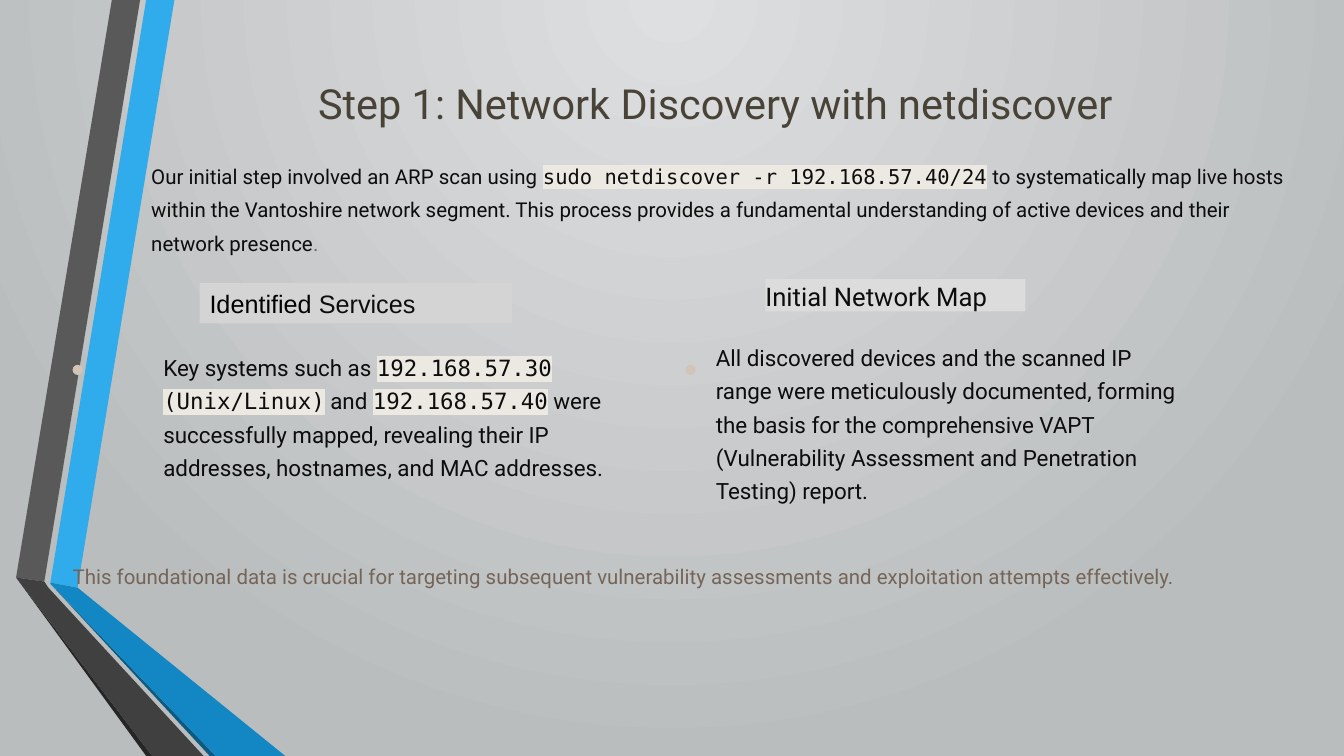
from dataclasses import dataclass

from lxml import etree
from pptx import Presentation
from pptx.dml.color import RGBColor
from pptx.enum.shapes import MSO_SHAPE
from pptx.enum.text import MSO_ANCHOR, MSO_AUTO_SIZE, PP_ALIGN
from pptx.oxml.ns import qn
from pptx.util import Inches, Pt

RECT, ROUND_RECT = MSO_SHAPE.RECTANGLE, MSO_SHAPE.ROUNDED_RECTANGLE
LEFT, CENTER = PP_ALIGN.LEFT, PP_ALIGN.CENTER
TOP, NO_FIT = MSO_ANCHOR.TOP, MSO_AUTO_SIZE.NONE
BODY, MONO, LABEL = "Roboto", "DejaVu Sans Mono", "Arial"
COLORS = {
    "bg_center": "DEDFE0", "bg_edge": "BABDBE",
    "blue": "30ACEC", "blue_mid": "1287C3", "blue_dark": "0C5A82",
    "gray": "595959", "gray_mid": "404040", "gray_dark": "262626",
    "ink": "0D0D0D", "black": "000000", "title": "484237", "muted": "746558",
    "code": "ECE9E3", "dot": "D3C5B6", "map_label": "DCDCDC",
    "services_label": "D4D4D4",
}


@dataclass
class Run:
    text: str
    color: str = "ink"
    code: bool = False


@dataclass
class Band:
    color: str
    points: list[tuple[float, float]]


@dataclass
class TextBox:
    box: tuple[float, float, float, float]
    size: float
    runs: list[Run]
    wrap: bool = True


BANDS = [
    Band("blue", [(0.5, 5.78), (0.77, 5.83), (1.73, 0), (1.45, 0)]),
    Band("gray", [(1.39, 0), (1.11, 0), (0.16, 5.73), (0.44, 5.77)]),
    Band("gray_dark", [(0.16, 5.73), (1.45, 7.5), (1.51, 7.5)]),
    Band("blue_dark", [(0.5, 5.79), (2.08, 7.5), (2.14, 7.5)]),
    Band("blue_mid", [(0.5, 5.79), (2.14, 7.5), (2.83, 7.5), (0.77, 5.83), (0.5, 5.78)]),
    Band("gray_mid", [(2.02, 7.5), (0.48, 5.83), (0.44, 5.77), (0.16, 5.73), (1.51, 7.5)]),
]
TEXTS = [
    TextBox((1.5, 1.54, 11.41, 0.68), 14.6, [
        Run("Our initial step involved an ARP scan using "),
        Run("sudo netdiscover -r 192.168.57.40/24", code=True),
        Run(" to systematically map live hosts within the Vantoshire network segment. "
            "This process provides a fundamental understanding of active devices and "
            "their network presence"),
        Run(".", "muted"),
    ]),
    TextBox((0.72, 5.51, 11.89, 0.33), 14.6, [
        Run("This foundational data is crucial for targeting subsequent vulnerability "
            "assessments and exploitation attempts effectively.", "muted"),
    ], wrap=False),
    TextBox((1.62, 3.45, 4.93, 1.66), 16, [
        Run("Key systems such as "),
        Run("192.168.57.30 (Unix/Linux)", code=True),
        Run(" and "),
        Run("192.168.57.40", code=True),
        Run(" were successfully mapped, revealing their IP addresses, hostnames, "
            "and MAC addresses."),
    ]),
    TextBox((7.1, 3.35, 4.68, 2.09), 16, [
        Run("All discovered devices and the scanned IP range were meticulously "
            "documented, forming the basis for the comprehensive VAPT (Vulnerability "
            "Assessment and Penetration Testing) report."),
    ]),
]


def rgb(name: str) -> RGBColor:
    return RGBColor.from_string(COLORS[name])


def inches(values) -> list:
    return [Inches(v) for v in values]


def paint(sp, color: str) -> None:
    sp.shadow.inherit = False
    sp.fill.solid()
    sp.fill.fore_color.rgb = rgb(color)
    sp.line.fill.background()


def highlight(r, color: str) -> None:
    """Mark a run's background; the schema wants it right after the fill."""
    mark = etree.Element(qn("a:highlight"))
    etree.SubElement(mark, qn("a:srgbClr")).set("val", COLORS[color])
    r.font.fill  # the fill is already present
    r.font._element.find(qn("a:solidFill")).addnext(mark)


def write(sp, runs: list[Run], *, size: float, font: str = BODY, align=LEFT,
          spacing: float | None = None, wrap: bool = True, inset: bool = False) -> None:
    tf = sp.text_frame
    tf.word_wrap, tf.auto_size, tf.vertical_anchor = wrap, NO_FIT, TOP
    if not inset:
        tf.margin_left = tf.margin_top = tf.margin_right = tf.margin_bottom = 0
    p = tf.paragraphs[0]
    p.alignment = align
    if spacing:
        p.line_spacing = Pt(spacing)
    for run in runs:
        r = p.add_run()
        r.text = run.text
        r.font.size = Pt(size)
        r.font.name = MONO if run.code else font
        r.font.color.rgb = rgb(run.color)
        if run.code:
            highlight(r, "code")


def add_block(s, kind, box, color: str):
    sp = s.shapes.add_shape(kind, *inches(box))
    paint(sp, color)
    return sp


def add_band(s, band: Band) -> None:
    start, *rest = [tuple(inches(pt)) for pt in band.points]
    builder = s.shapes.build_freeform(*start)
    builder.add_line_segments(rest, close=True)
    paint(builder.convert_to_shape(), band.color)


def set_background(s) -> None:
    """Radial gradient centred on the top edge."""
    fill = s.background.fill
    fill.gradient()
    for stop, color, position in zip(fill.gradient_stops, ("bg_center", "bg_edge"), (0, 1)):
        stop.color.rgb = rgb(color)
        stop.position = position
    grad = s.element.find(".//" + qn("a:gradFill"))
    grad.remove(grad.find(qn("a:lin")))
    circle = etree.SubElement(grad, qn("a:path"))
    circle.set("path", "circle")
    center = etree.SubElement(circle, qn("a:fillToRect"))
    for side, value in {"l": 43, "t": 0, "r": 43, "b": 100}.items():
        center.set(side, str(value * 1000))


def main() -> None:
    prs = Presentation()
    prs.slide_width, prs.slide_height = Inches(13.33), Inches(7.5)
    s = prs.slides.add_slide(prs.slide_layouts[5])
    set_background(s)
    for band in BANDS:
        add_band(s, band)

    title = s.shapes.title
    title.left, title.top, title.width, title.height = inches((1.62, 0.75, 10.96, 1.92))
    write(title, [Run("Step 1: Network Discovery with netdiscover", "title")],
          size=29.6, align=CENTER, spacing=37.1, wrap=False)

    for x in (0.72, 6.8):
        dot = add_block(s, ROUND_RECT, (x, 3.62, 0.1, 0.1), "dot")
        dot.adjustments[0] = 0.5
    for text in TEXTS:
        write(s.shapes.add_textbox(*inches(text.box)), text.runs,
              size=text.size, spacing=23.8, wrap=text.wrap)

    network_map = add_block(s, RECT, (7.59, 2.77, 2.58, 0.32), "map_label")
    write(network_map, [Run("Initial Network Map")], size=18.3, spacing=22.9, wrap=False)
    services = add_block(s, RECT, (1.98, 2.81, 3.1, 0.4), "services_label")
    write(services, [Run("Identified ", "black"), Run("Services")],
          size=18, font=LABEL, inset=True)
    prs.save("out.pptx")


if __name__ == "__main__":
    main()
